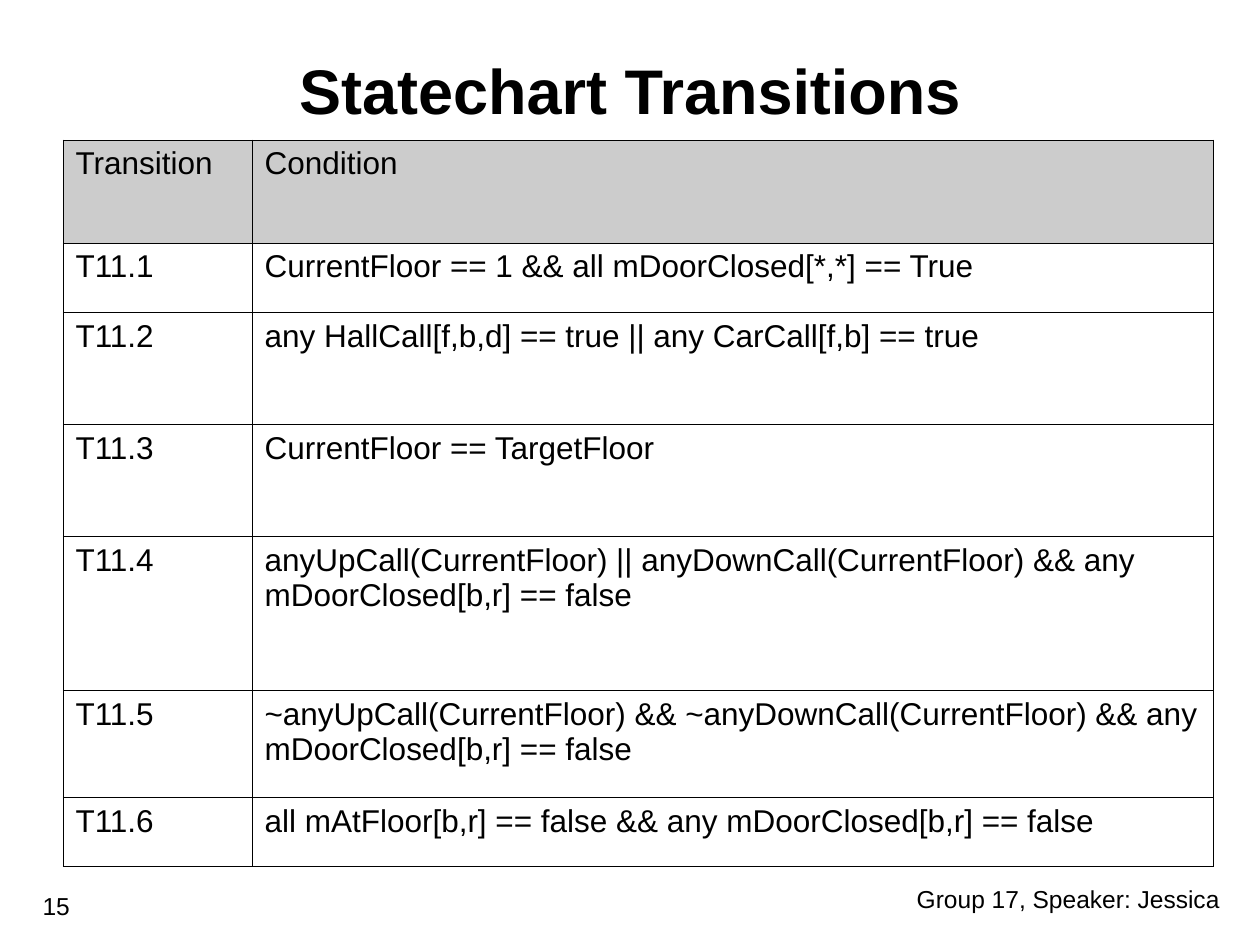
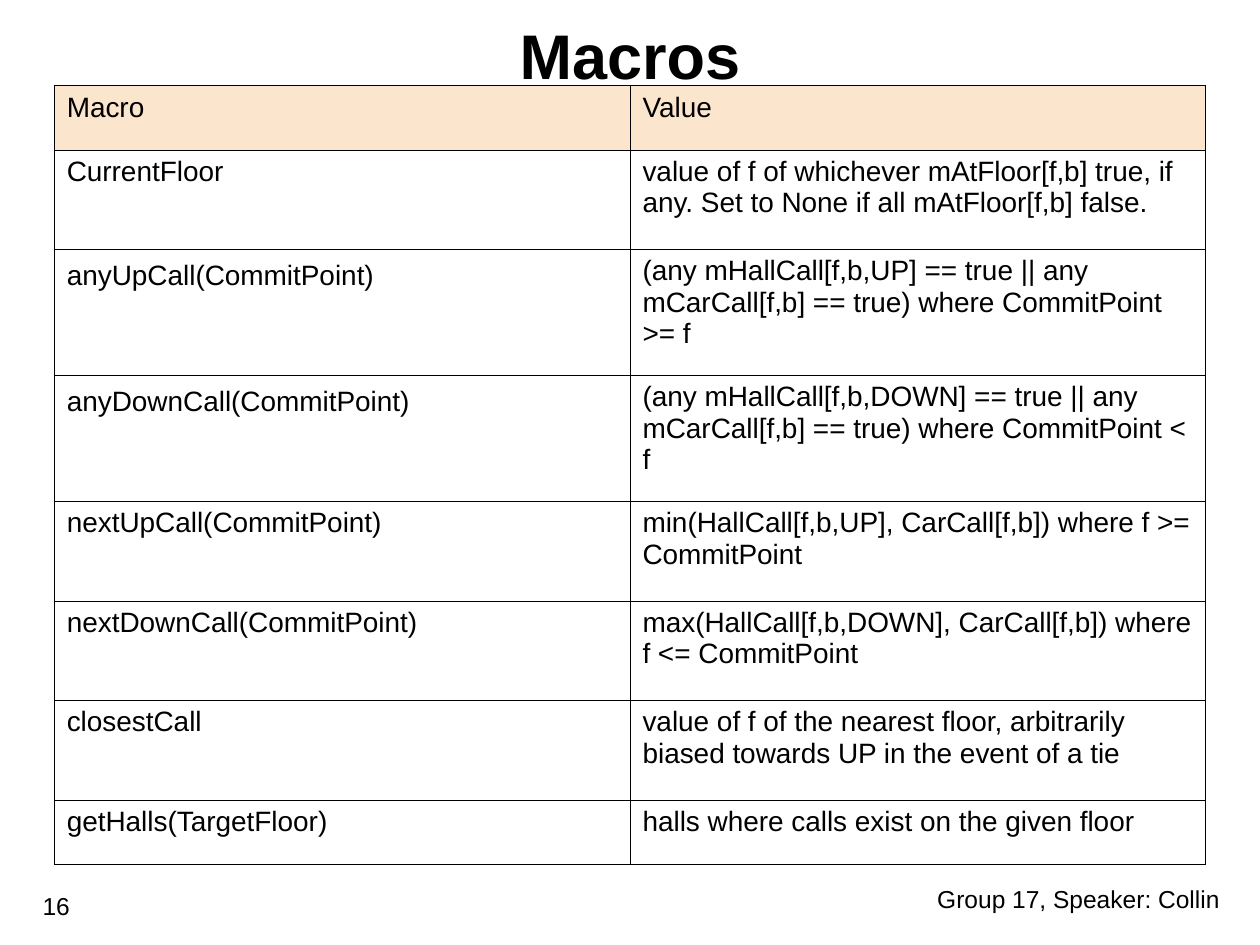
"""Build the elevator statechart transition and macro slides."""
from dataclasses import dataclass

from lxml.etree import SubElement
from pptx import Presentation
from pptx.dml.color import RGBColor
from pptx.enum.text import MSO_ANCHOR, MSO_AUTO_SIZE, PP_ALIGN
from pptx.oxml.ns import qn
from pptx.util import Inches, Pt


@dataclass(frozen=True)
class Theme:
    font: str = "Arial"
    ink: str = "000000"
    grey: str = "CCCCCC"
    peach: str = "FCE5CD"
    title: int = 36
    large: int = 18
    body: int = 16
    foot: int = 14
    rule: float = 0.34


THEME = Theme()

MOVES = [
    ("Transition", "Condition"),
    ("T11.1", "CurrentFloor == 1 && all mDoorClosed[*,*] == True"),
    ("T11.2", "any HallCall[f,b,d] == true || any CarCall[f,b] == true"),
    ("T11.3", "CurrentFloor == TargetFloor"),
    ("T11.4", "anyUpCall(CurrentFloor) || anyDownCall(CurrentFloor) && any mDoorClosed[b,r] == false"),
    ("T11.5", "~anyUpCall(CurrentFloor) && ~anyDownCall(CurrentFloor) && any mDoorClosed[b,r] == false"),
    ("T11.6", "all mAtFloor[b,r] == false && any mDoorClosed[b,r] == false"),
]

MACROS = [
    ("Macro", "Value"),
    ("CurrentFloor", "value of f of whichever mAtFloor[f,b] true, if any. Set to None if all mAtFloor[f,b] false."),
    ("anyUpCall(CommitPoint)", "(any mHallCall[f,b,UP] == true || any mCarCall[f,b] == true) where CommitPoint >= f"),
    ("anyDownCall(CommitPoint)", "(any mHallCall[f,b,DOWN] == true || any mCarCall[f,b] == true) where CommitPoint < f"),
    ("nextUpCall(CommitPoint)", "min(HallCall[f,b,UP], CarCall[f,b]) where f >= CommitPoint"),
    ("nextDownCall(CommitPoint)", "max(HallCall[f,b,DOWN], CarCall[f,b]) where f <= CommitPoint"),
    ("closestCall", "value of f of the nearest floor, arbitrarily biased towards UP in the event of a tie"),
    ("getHalls(TargetFloor)", "halls where calls exist on the given floor"),
]


def write(frame, text, size, bold=False, align=PP_ALIGN.LEFT, pitch=None):
    frame.word_wrap = True
    frame.text = text
    line = frame.paragraphs[0]
    line.alignment = align
    if pitch:
        line.line_spacing = pitch
    font = line.runs[0].font
    font.name, font.size, font.bold = THEME.font, Pt(size), bold
    font.color.rgb = RGBColor.from_string(THEME.ink)


def pad(frame, side, end):
    frame.margin_left = frame.margin_right = Inches(side)
    frame.margin_top = frame.margin_bottom = Inches(end)


def border(cell):
    props = cell._tc.get_or_add_tcPr()
    for side in ("a:lnL", "a:lnR", "a:lnT", "a:lnB"):
        edge = SubElement(props, qn(side), w=str(Pt(THEME.rule)))
        fill = SubElement(edge, qn("a:solidFill"))
        SubElement(fill, qn("a:srgbClr"), val=THEME.ink)


class Deck:
    def __init__(self, theme):
        self.theme = theme
        self.show = Presentation()
        self.show.slide_width, self.show.slide_height = Inches(10), Inches(7.5)
        self.slide = None

    def start(self, title, top, page, name):
        self.slide = self.show.slides.add_slide(self.show.slide_layouts[5])
        self.title(title, top)
        self.label(f"Group 17, Speaker: {name}", 6.56, 6.92, 3.22, 0.43, 0.1, PP_ALIGN.RIGHT)
        self.label(str(page), 0.24, 7.02, 0.44, 0.34, 0.05)

    def title(self, text, top):
        shape = self.slide.shapes.title
        shape.left, shape.top = Inches(0.5), Inches(top)
        shape.width, shape.height = Inches(9), Inches(0.8)
        frame = shape.text_frame
        pad(frame, 0.1, 0.1)
        frame.vertical_anchor = MSO_ANCHOR.BOTTOM
        frame.auto_size = MSO_AUTO_SIZE.NONE
        write(frame, text, self.theme.title, bold=True, align=PP_ALIGN.CENTER)

    def label(self, text, left, top, width, height, end, align=PP_ALIGN.LEFT):
        box = self.slide.shapes.add_textbox(Inches(left), Inches(top), Inches(width), Inches(height))
        pad(box.text_frame, 0.1, end)
        box.text_frame.auto_size = MSO_AUTO_SIZE.SHAPE_TO_FIT_TEXT
        write(box.text_frame, text, self.theme.foot, align=align)

    def table(self, data, left, top, widths, heights, size, head, loose=()):
        table = self.slide.shapes.add_table(
            len(data), len(widths), Inches(left), Inches(top),
            Inches(sum(widths)), Inches(sum(heights))).table
        table.first_row = table.horz_banding = False
        for col, width in zip(table.columns, widths):
            col.width = Inches(width)
        for r, (row, height) in enumerate(zip(data, heights)):
            table.rows[r].height = Inches(height)
            for c, text in enumerate(row):
                cell = table.cell(r, c)
                write(cell.text_frame, text, size, pitch=1.15 if (r, c) in loose else None)
                border(cell)
                if r == 0:
                    cell.fill.solid()
                    cell.fill.fore_color.rgb = RGBColor.from_string(head)
                else:
                    cell.fill.background()


def main():
    deck = Deck(THEME)
    deck.start("Statechart Transitions", 0.31, 15, "Jessica")
    deck.table(MOVES, 0.5, 1.11, (1.5, 7.63), (0.82, 0.55, 0.89, 0.89, 1.22, 0.85, 0.55),
               THEME.large, THEME.grey)
    deck.start("Macros", 0.03, 16, "Collin")
    deck.table(MACROS, 0.43, 0.68, (4.57, 4.57), (0.51, 0.79, 1, 1, 0.79, 0.79, 0.79, 0.51),
               THEME.body, THEME.peach, loose={(2, 0), (3, 0)})
    deck.show.save("out.pptx")


if __name__ == "__main__":
    main()
